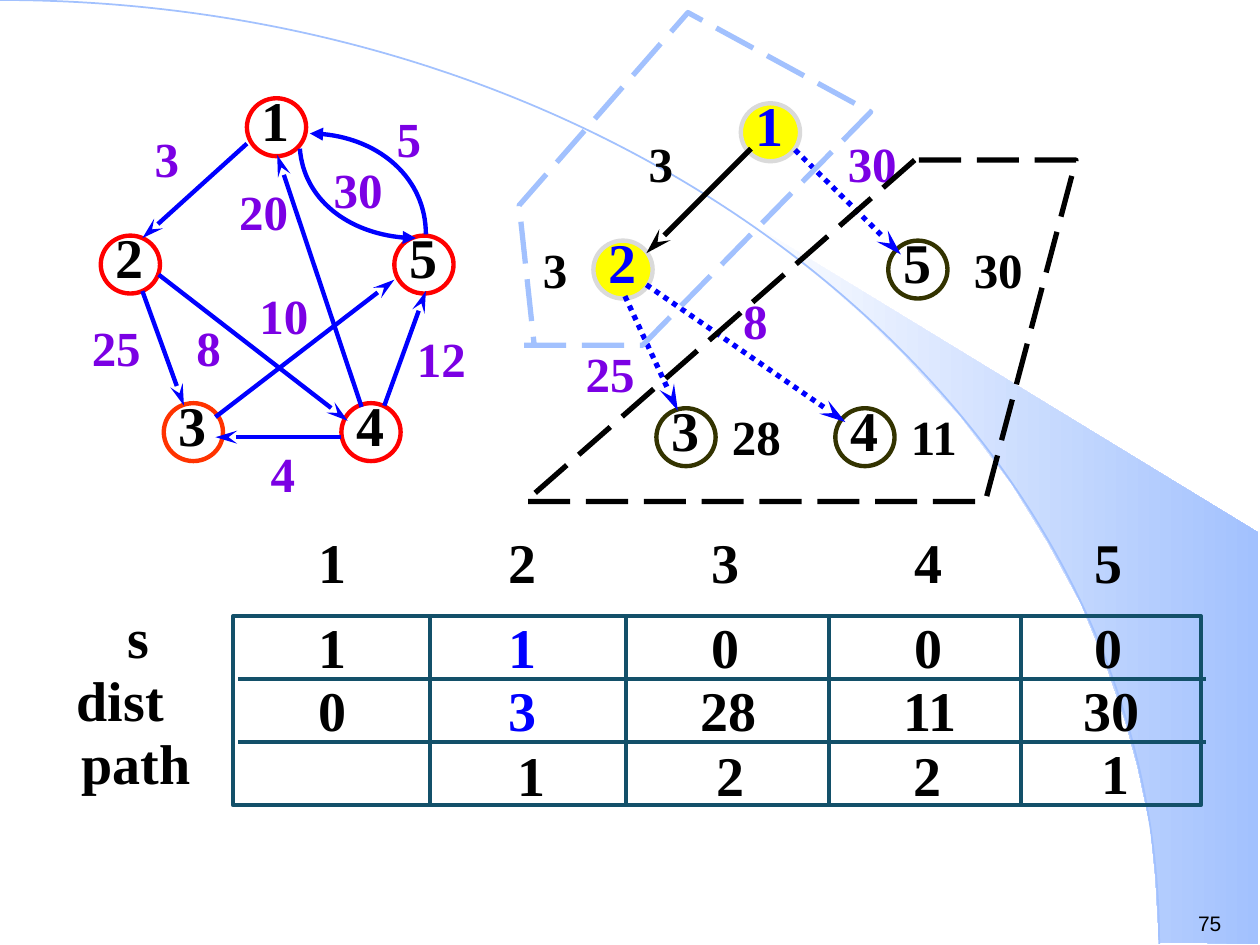
from dataclasses import dataclass
from lxml import etree
from pptx import Presentation
from pptx.dml.color import RGBColor
from pptx.enum.dml import MSO_LINE
from pptx.enum.shapes import MSO_CONNECTOR, MSO_SHAPE
from pptx.enum.text import MSO_ANCHOR, PP_ALIGN
from pptx.oxml.ns import qn
from pptx.util import Emu, Pt

SCALE = 9144  # EMU per px, 100 px to the inch
OVAL, RECT = MSO_SHAPE.OVAL, MSO_SHAPE.RECTANGLE
STRAIGHT = MSO_CONNECTOR.STRAIGHT
DOTS, DASHES = MSO_LINE.ROUND_DOT, MSO_LINE.LONG_DASH
LEFT, CENTER = PP_ALIGN.LEFT, PP_ALIGN.CENTER
TOP = MSO_ANCHOR.TOP
SERIF, SANS = "Times New Roman", "Arial"
BLACK, BLUE, PURPLE, SKY = "000000", "0000FF", "7B00E4", "A2C1FE"
RED, GRAY, OLIVE, YELLOW, TEAL = "FF0000", "DADADA", "333300", "FFFF00", "135069"
Point = tuple[int, int]


@dataclass
class Node:
    text: str
    x: int
    y: int
    ring: str = RED
    fill: str | None = None
    color: str = BLACK


@dataclass
class Edge:
    start: Point
    end: Point
    color: str = BLUE
    width: float = 2.5
    dash: object = None
    tail: str | None = "stealth"


@dataclass
class Label:
    text: str
    x: int
    y: int
    color: str = PURPLE


@dataclass
class Curve:
    """A Bezier curve: start, two control points, end."""
    points: list[Point]
    color: str = BLUE
    width: float = 2.5
    head: str | None = "triangle"


def px(size: int) -> Emu:
    return Emu(size * SCALE)


def tint(code: str) -> RGBColor:
    return RGBColor.from_string(code)


def write(slide, text: str, x: int, y: int, wide: int, high: int, *, size=32,
          font=SERIF, color=BLACK, bold=True, align=LEFT, inset=True) -> None:
    box = slide.shapes.add_textbox(px(x), px(y), px(wide), px(high))
    frame = box.text_frame
    frame.word_wrap, frame.vertical_anchor = True, TOP
    frame.margin_left = frame.margin_right = px(10 if inset else 0)
    frame.margin_top = frame.margin_bottom = px(5 if inset else 0)
    para = frame.paragraphs[0]
    para.alignment = align
    run = para.add_run()
    run.text = text
    run.font.size, run.font.name, run.font.bold = Pt(size), font, bold
    run.font.color.rgb = tint(color)


def stroke(shape, color: str, width: float, dash=None, head=None, tail=None) -> None:
    line = shape.line
    line.color.rgb, line.width = tint(color), Pt(width)
    if dash:
        line.dash_style = dash
    ln = shape._element.spPr.find(qn("a:ln"))
    for tag, kind in (("a:headEnd", head), ("a:tailEnd", tail)):
        if kind:
            size = "lg" if kind == "stealth" else "med"
            etree.SubElement(ln, qn(tag), type=kind, w="med", len=size)


def draw_path(slide, points: list[Point], close=False):
    spots = [(px(x), px(y)) for x, y in points]
    pen = slide.shapes.build_freeform(*spots[0])
    pen.add_line_segments(spots[1:], close=close)
    shape = pen.convert_to_shape()
    shape.shadow.inherit = False
    shape.fill.background()
    return shape


def draw_curve(slide, curve: Curve) -> None:
    shape = draw_path(slide, curve.points)
    track = next(shape._element.iter(qn("a:path")))
    bend = etree.SubElement(track, qn("a:cubicBezTo"))
    for leg in track.findall(qn("a:lnTo")):
        bend.append(leg[0])
        track.remove(leg)
    stroke(shape, curve.color, curve.width, head=curve.head)


def draw_shape(slide, kind, x: int, y: int, wide: int, high: int,
               ring: str, fill=None) -> None:
    shape = slide.shapes.add_shape(kind, px(x), px(y), px(wide), px(high))
    shape.shadow.inherit = False
    if fill:
        shape.fill.solid()
        shape.fill.fore_color.rgb = tint(fill)
    else:
        shape.fill.background()
    stroke(shape, ring, 2.5)


def draw_node(slide, node: Node) -> None:
    draw_shape(slide, OVAL, node.x, node.y, 47, 46, node.ring, node.fill)
    write(slide, node.text, node.x + 2, node.y - 15, 34, 63, color=node.color, align=CENTER)


def draw_edge(slide, edge: Edge) -> None:
    ends = [px(v) for v in (*edge.start, *edge.end)]
    wire = slide.shapes.add_connector(STRAIGHT, *ends)
    stroke(wire, edge.color, edge.width, edge.dash, tail=edge.tail)
    etree.SubElement(wire._element.spPr, qn("a:effectLst"))


def draw_label(slide, label: Label) -> None:
    wide = 25 * (len(label.text) + 1)
    write(slide, label.text, label.x, label.y, wide, 57, size=28, color=label.color)


def draw_grid(slide) -> None:
    """The state of the search; the row lines run past the frame."""
    draw_shape(slide, RECT, 185, 489, 768, 150, TEAL)
    rules = [((x, 489), (x, 639)) for x in (341, 497, 658, 810)]
    rules += [((189, y), (957, y)) for y in (539, 589)]
    for start, end in rules:
        draw_edge(slide, Edge(start, end, TEAL, 2.25, tail=None))
    for text, x, y, wide in (("s", 91, 473, 62), ("dist", 51, 523, 134), ("path", 55, 573, 134)):
        write(slide, text, x, y, wide, 63)
    for y, row in ROWS:
        for c, (text, x) in enumerate(zip(row, COLS)):
            color = BLUE if c == 1 and y != HEAD else BLACK
            shift = 9 if len(text) > 1 else 0
            write(slide, text, x - shift, y, 45 + 4 * shift, 63, color=color)
    for text, x, y, wide in PATHS:
        write(slide, text, x, y, wide, 53, align=CENTER, inset=False)


# Backdrop
SWATH = [(920, 748), (999, 749), (999, 423), (589, 173), (624, 199), (653, 222),
         (685, 250), (716, 280), (762, 330), (803, 384), (832, 431), (858, 479),
         (878, 528), (893, 572), (903, 609), (913, 656), (917, 696)]
RIM = Curve([(0, 0), (508, 0), (920, 335), (920, 749)], SKY, 1, None)

# Grid of the search state
HEAD = 414
COLS = [243, 394, 555, 716, 859]
ROWS = [(HEAD, "12345"), (481, "11000"), (531, ["0", "3", "28", "11", "30"])]
PATHS = [("1", 359, 588, 125), ("2", 508, 588, 143), ("2", 665, 588, 143), ("1", 823, 586, 125)]

# Search tree on the right, then the full graph on the left
NODES = [Node("1", 588, 82, GRAY, YELLOW, BLUE), Node("2", 471, 191, GRAY, YELLOW, BLUE),
         Node("3", 521, 324, OLIVE), Node("4", 663, 324, OLIVE), Node("5", 705, 191, OLIVE),
         Node("1", 196, 78), Node("2", 80, 187), Node("3", 130, 320, "FF3300"),
         Node("4", 271, 320), Node("5", 313, 187)]
EDGES = [Edge((596, 118), (513, 201), BLACK, 3),
         Edge((631, 119), (715, 202), BLUE, 3, DOTS),
         Edge((496, 235), (538, 326), BLUE, 3, DOTS),
         Edge((513, 226), (671, 335), BLUE, 3, DOTS),
         Edge((113, 231), (146, 322)), Edge((271, 347), (171, 347)),
         Edge((305, 322), (338, 231)), Edge((287, 323), (220, 123)),
         Edge((126, 218), (276, 334)), Edge((171, 331), (313, 222)),
         Edge((196, 114), (113, 189))]
LABELS = [Label("3", 421, 185, BLACK), Label("25", 455, 268), Label("8", 580, 226),
          Label("3", 505, 101, BLACK), Label("30", 663, 101), Label("30", 763, 185, BLACK),
          Label("28", 571, 318, BLACK), Label("11", 713, 318, BLACK),
          Label("3", 113, 97), Label("25", 63, 247), Label("8", 146, 247),
          Label("10", 196, 222), Label("20", 180, 139), Label("4", 205, 347),
          Label("5", 305, 81), Label("30", 255, 122), Label("12", 321, 256)]
CURVES = [Curve([(246, 106), (297, 106), (338, 142), (338, 186)]),
          Curve([(330, 189), (281, 189), (241, 158), (238, 118)])]

# Dashed outlines round the done and the open nodes
DONE = [(416, 274), (510, 274), (691, 89), (546, 10), (412, 163), (424, 274)]
OPEN = [(726, 127), (417, 398), (782, 398), (854, 127)]


def main() -> None:
    deck = Presentation()
    deck.slide_width, deck.slide_height = px(1000), px(750)
    slide = deck.slides.add_slide(deck.slide_layouts[6])
    swath = draw_path(slide, SWATH, close=True)
    swath.line.fill.background()
    swath.fill.gradient()
    swath.fill.gradient_angle = 0
    for stop, code in zip(swath.fill.gradient_stops, ("FFFFFF", SKY)):
        stop.color.rgb = tint(code)
    draw_curve(slide, RIM)
    write(slide, "75", 941, 718, 59, 30, size=12, font=SANS, bold=False)
    draw_grid(slide)
    for draw, parts in ((draw_label, LABELS), (draw_node, NODES),
                        (draw_edge, EDGES), (draw_curve, CURVES)):
        for part in parts:
            draw(slide, part)
    stroke(draw_path(slide, DONE), SKY, 3, DASHES)
    stroke(draw_path(slide, OPEN, close=True), BLACK, 3, DASHES)
    deck.save("out.pptx")


if __name__ == "__main__":
    main()
